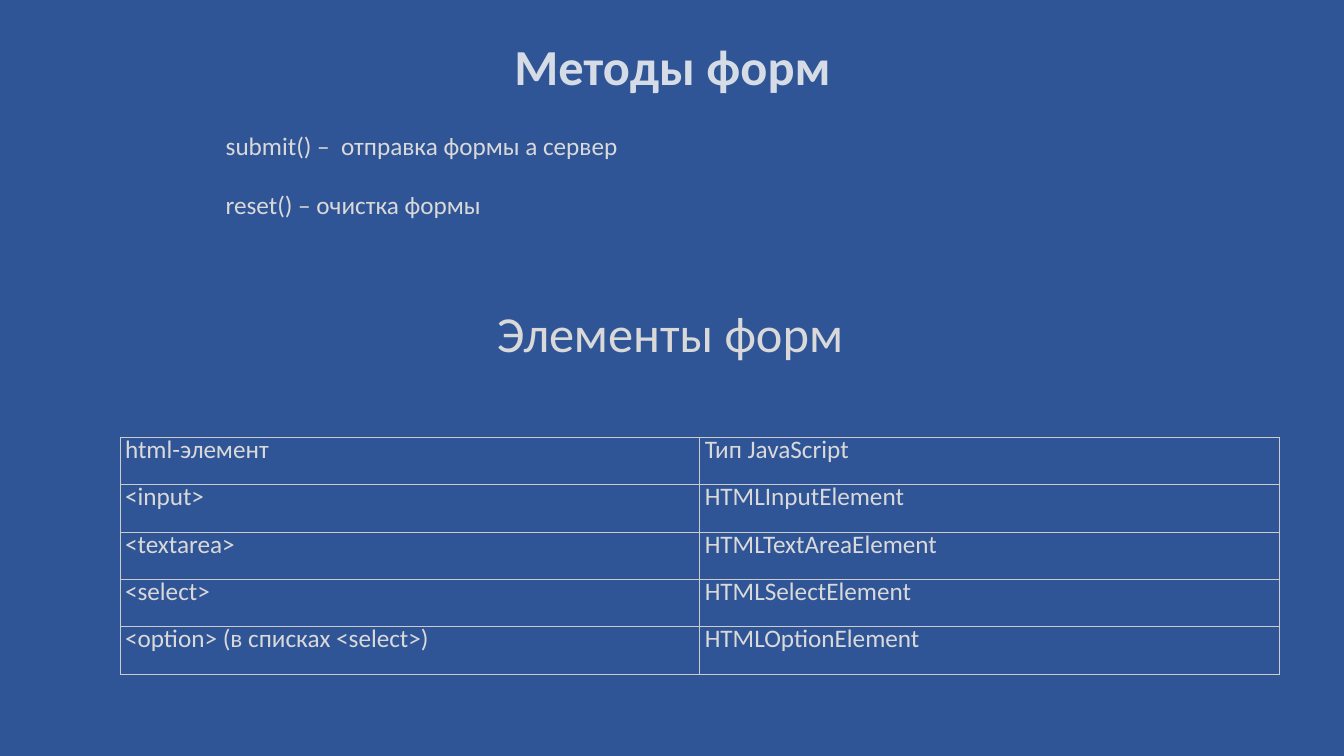
from lxml.etree import SubElement
from pptx import Presentation
from pptx.dml.color import RGBColor
from pptx.enum.text import MSO_ANCHOR, MSO_AUTO_SIZE, PP_ALIGN
from pptx.oxml.ns import qn
from pptx.util import Inches, Pt

TITLE_ONLY = 5
BACKGROUND, TITLE_COLOR, TEXT_COLOR, BORDER = "2F5597", "D6DCE5", "D9D9D9", "CCCCCC"


def color(hex_string):
    return RGBColor.from_string(hex_string)


class SlideBuilder:
    font = "Calibri"
    body_size, heading_size = 18, 36

    def __init__(self, deck):
        self.slide = deck.slides.add_slide(deck.slide_layouts[TITLE_ONLY])
        fill = self.slide.background.fill
        fill.solid()
        fill.fore_color.rgb = color(BACKGROUND)

    def add_run(self, paragraph, text, size, ink=TEXT_COLOR, bold=False):
        run = paragraph.add_run()
        run.text = text
        run.font.name, run.font.size, run.font.bold = self.font, Pt(size), bold
        run.font.color.rgb = color(ink)

    def title(self, text, left, top, width, height):
        title = self.slide.shapes.title
        title.left, title.top = Inches(left), Inches(top)
        title.width, title.height = Inches(width), Inches(height)
        frame = title.text_frame
        frame.vertical_anchor = MSO_ANCHOR.BOTTOM
        frame.auto_size = MSO_AUTO_SIZE.NONE
        paragraph = frame.paragraphs[0]
        paragraph.alignment, paragraph.line_spacing = PP_ALIGN.CENTER, 0.9
        self.add_run(paragraph, text, self.heading_size, TITLE_COLOR, bold=True)

    def text(self, lines, left, top, width, height, size, gap=0):
        box = self.slide.shapes.add_textbox(
            Inches(left), Inches(top), Inches(width), Inches(height))
        frame = box.text_frame
        frame.word_wrap = False
        frame.auto_size = MSO_AUTO_SIZE.SHAPE_TO_FIT_TEXT
        for index, line in enumerate(lines):
            paragraph = frame.add_paragraph() if index else frame.paragraphs[0]
            if index:
                paragraph.space_before = Pt(gap)
            self.add_run(paragraph, line, size)

    def border(self, cell):
        properties = cell._tc.get_or_add_tcPr()
        for side in ("lnL", "lnR", "lnT", "lnB"):
            line = SubElement(properties, qn(f"a:{side}"), w=str(Pt(0.75)))
            fill = SubElement(line, qn("a:solidFill"))
            SubElement(fill, qn("a:srgbClr"), val=BORDER)

    def table(self, rows, left, top, column_width, row_height):
        column_count = len(rows[0])
        table = self.slide.shapes.add_table(
            len(rows), column_count, Inches(left), Inches(top),
            Inches(column_width * column_count), Inches(row_height * len(rows))).table
        table.first_row = table.horz_banding = False
        for row_index, row in enumerate(rows):
            for column_index, text in enumerate(row):
                cell = table.cell(row_index, column_index)
                cell.margin_left, cell.margin_right = Inches(0.05), Inches(0.03)
                cell.margin_top = cell.margin_bottom = Inches(0.01)
                self.border(cell)
                cell.fill.background()
                paragraph = cell.text_frame.paragraphs[0]
                paragraph.line_spacing = Pt(19.2)
                self.add_run(paragraph, text, self.body_size)


def main():
    deck = Presentation()
    deck.slide_width, deck.slide_height = Inches(13.33), Inches(7.5)
    forms = SlideBuilder(deck)

    # Form methods
    forms.title("Методы форм", 1.67, 0.31, 10, 0.7)
    methods = ["submit() –  отправка формы а сервер", "reset() – очистка формы"]
    forms.text(methods, 2.14, 1.24, 4.14, 1.01, forms.body_size, gap=21)

    # Form elements and their types
    elements = [
        ("html-элемент", "Тип JavaScript"),
        ("<input>", "HTMLInputElement"),
        ("<textarea>", "HTMLTextAreaElement"),
        ("<select>", "HTMLSelectElement"),
        ("<option> (в списках <select>)", "HTMLOptionElement"),
    ]
    forms.table(elements, left=1.19, top=4.34, column_width=5.75, row_height=0.47)
    forms.text(["Элементы форм"], 4.83, 2.95, 3.67, 0.71, forms.heading_size)

    deck.save("out.pptx")


if __name__ == "__main__":
    main()
